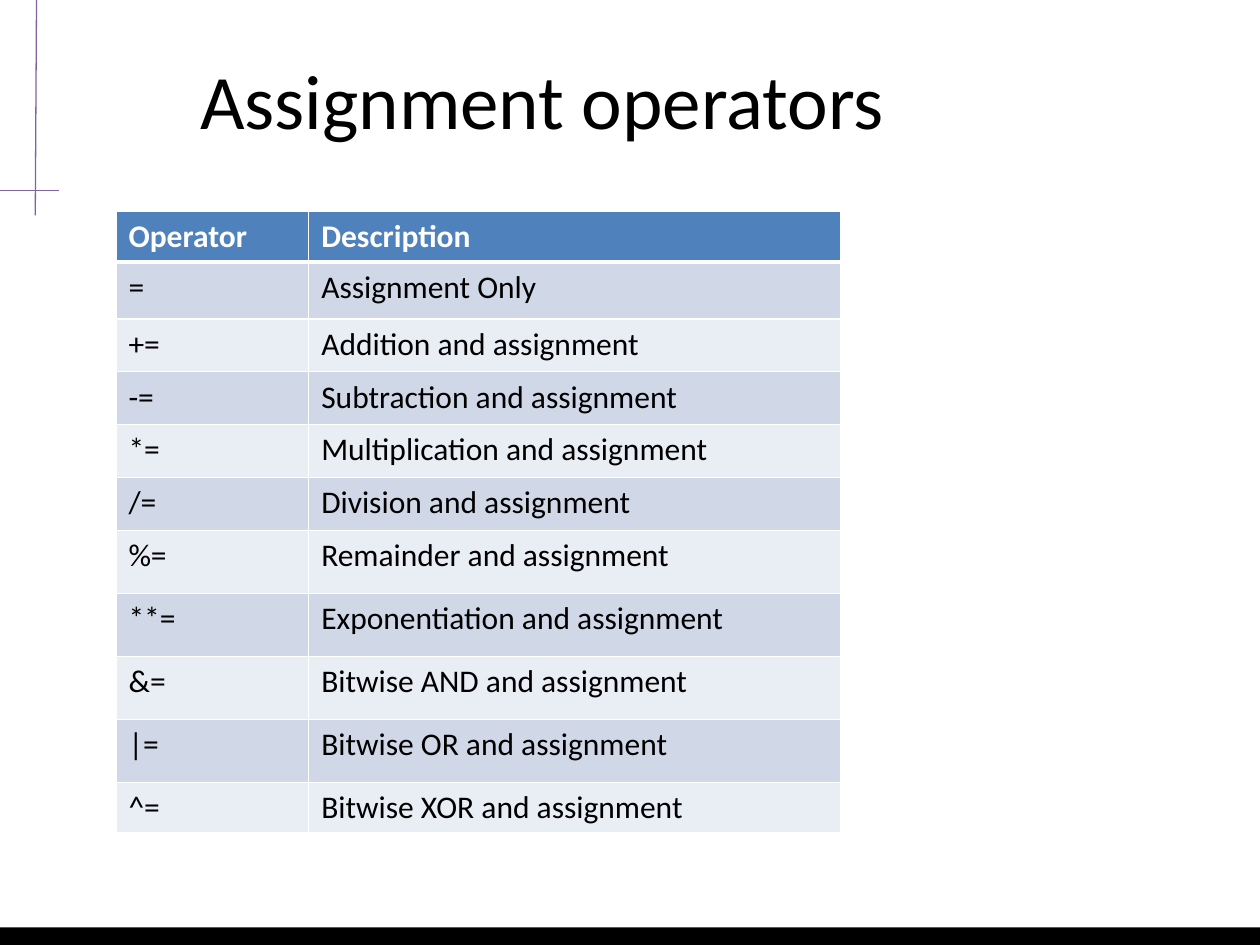
from lxml import etree
from pptx import Presentation
from pptx.dml.color import RGBColor
from pptx.enum.shapes import MSO_CONNECTOR, MSO_SHAPE
from pptx.enum.text import MSO_ANCHOR, PP_ALIGN
from pptx.oxml.ns import qn
from pptx.util import Inches, Pt

STRAIGHT = MSO_CONNECTOR.STRAIGHT
RECTANGLE = MSO_SHAPE.RECTANGLE
MIDDLE = MSO_ANCHOR.MIDDLE
CENTER = PP_ALIGN.CENTER
COLORS = {
    "black": "000000",
    "white": "FFFFFF",
    "purple": "8064A2",
    "header": "4F81BD",
    "odd": "D0D8E8",
    "even": "E9EDF4",
}
OPERATORS = [
    ("Operator", "Description"),
    ("=", "Assignment Only"),
    ("+=", "Addition and assignment"),
    ("-=", "Subtraction and assignment"),
    ("*=", "Multiplication and assignment"),
    ("/=", "Division and assignment"),
    ("%=", "Remainder and assignment"),
    ("**=", "Exponentiation and assignment"),
    ("&=", "Bitwise AND and assignment"),
    ("|=", "Bitwise OR and assignment"),
    ("^=", "Bitwise XOR and assignment"),
]


def color(name):
    return RGBColor.from_string(COLORS[name])


def add_border(cell, side, points):
    line = etree.SubElement(cell._tc.get_or_add_tcPr(), qn(f"a:ln{side}"), w=str(Pt(points)))
    fill = etree.SubElement(line, qn("a:solidFill"))
    etree.SubElement(fill, qn("a:srgbClr"), val=COLORS["white"])


deck = Presentation()
deck.slide_width, deck.slide_height = Inches(10), Inches(7.5)
COL = deck.slide_width // 100
ROW = deck.slide_height // 75
page = deck.slides.add_slide(deck.slide_layouts[6])

footer_bar = page.shapes.add_shape(RECTANGLE, 0, int(73.6 * ROW), 100 * COL, int(1.4 * ROW))
footer_bar.shadow.inherit = False
footer_bar.fill.solid()
footer_bar.fill.fore_color.rgb = color("black")
footer_bar.line.fill.background()

title_box = page.shapes.add_textbox(
    int(2.8 * COL), int(2.8 * ROW), int(80.5 * COL), int(8.9 * ROW)
)
title = title_box.text_frame
title.word_wrap = True
title.vertical_anchor = MIDDLE
title.margin_top, title.margin_bottom = int(1.2 * ROW), 0
para = title.paragraphs[0]
para.text = "Assignment operators"
para.alignment = CENTER
para.font.name = "Calibri"
para.font.size = Pt(44)
para.font.color.rgb = color("black")

for left, top, right, bottom in [(2.9, 0, 2.8, 17.1), (0, 15.1, 4.7, 15.1)]:
    rule = page.shapes.add_connector(
        STRAIGHT, int(left * COL), int(top * ROW), int(right * COL), int(bottom * ROW)
    )
    rule.line.color.rgb = color("purple")
    rule.line.width = Pt(0.75)
    etree.SubElement(rule._element.spPr, qn("a:effectLst"))

widths = [15.3, 42.2]
heights = [4, 4.5] + [4.2] * 4 + [5] * 4 + [4]
table = page.shapes.add_table(
    len(OPERATORS), len(widths), int(9.2 * COL), int(16.8 * ROW),
    int(sum(widths) * COL), int(sum(heights) * ROW),
).table
for column, width in zip(table.columns, widths):
    column.width = int(width * COL)

for index, (words, height) in enumerate(zip(OPERATORS, heights)):
    table.rows[index].height = int(height * ROW)
    is_header = index == 0
    shade = "header" if is_header else "odd" if index % 2 else "even"
    for cell, text in zip(table.rows[index].cells, words):
        cell.text = text
        font = cell.text_frame.paragraphs[0].font
        font.name = "Calibri"
        font.size = Pt(18)
        font.bold = is_header
        font.color.rgb = color("white" if is_header else "black")
        for side in "LRTB":
            thick = (is_header and side == "B") or (index == 1 and side == "T")
            add_border(cell, side, 3 if thick else 1)
        cell.fill.solid()
        cell.fill.fore_color.rgb = color(shade)

deck.save("out.pptx")
